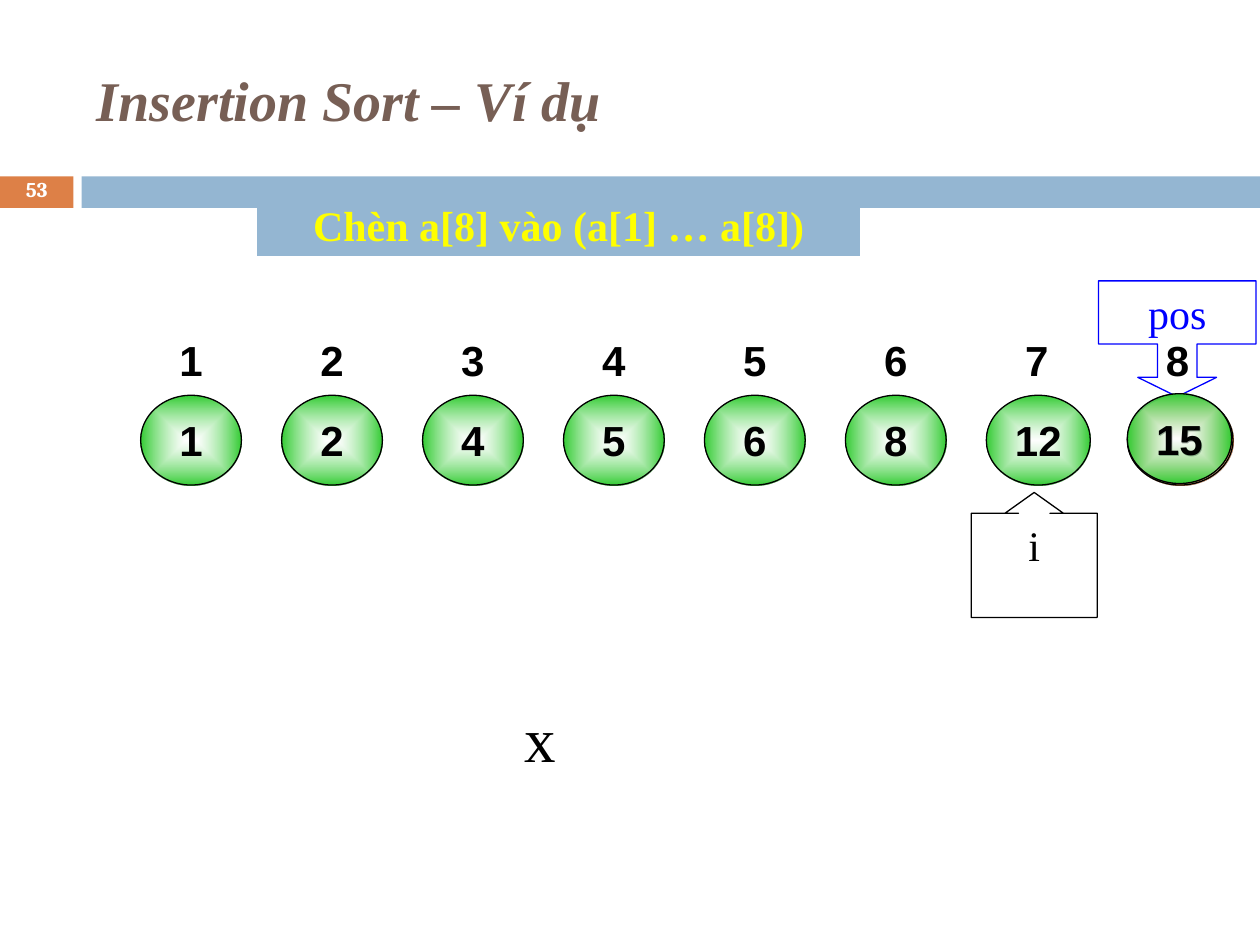
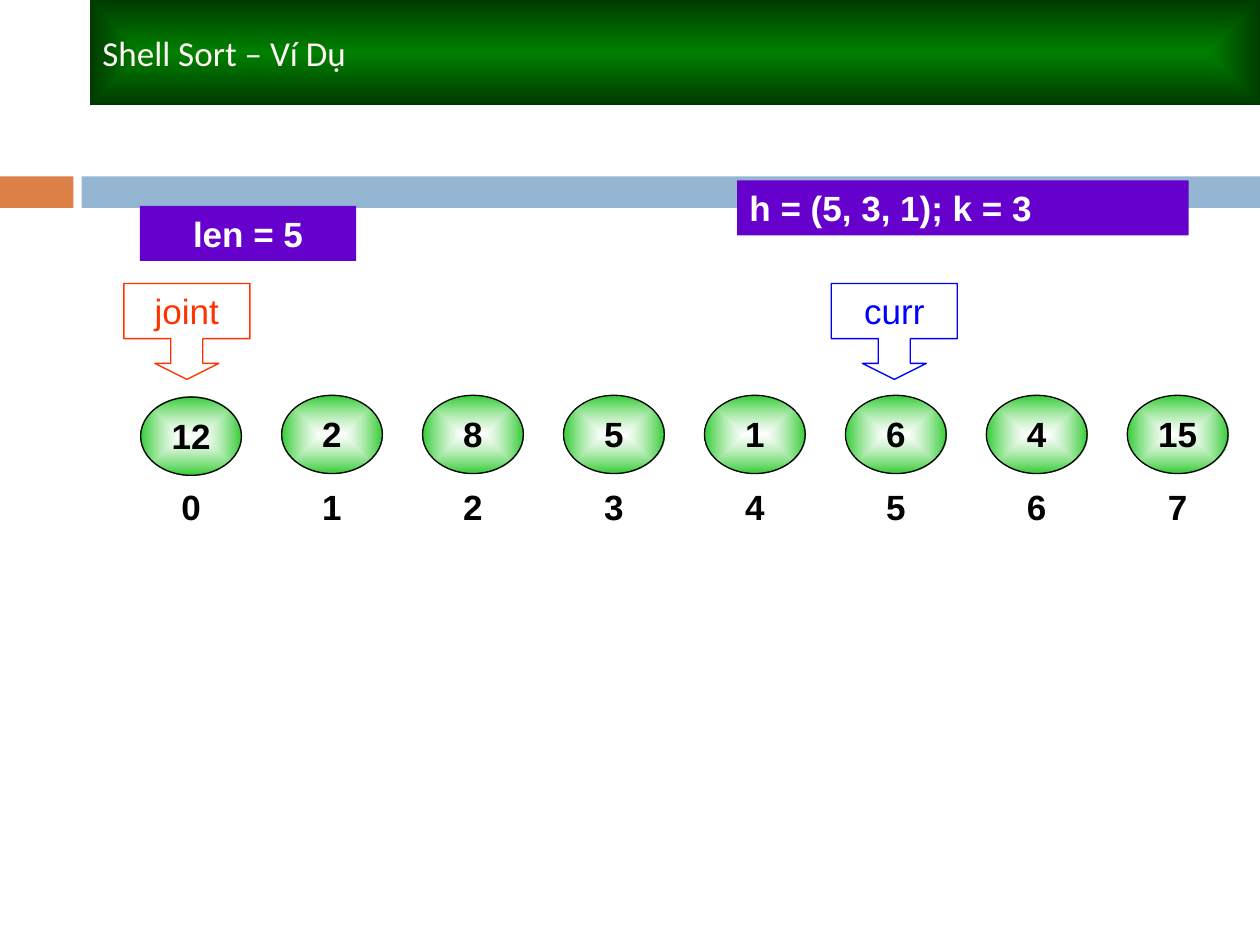
from lxml import etree
from pptx import Presentation
from pptx.dml.color import RGBColor
from pptx.enum.shapes import MSO_SHAPE
from pptx.enum.text import MSO_ANCHOR, PP_ALIGN
from pptx.oxml.ns import qn
from pptx.util import Pt

RECT = MSO_SHAPE.RECTANGLE
OVAL = MSO_SHAPE.OVAL
UP_CALLOUT = MSO_SHAPE.UP_ARROW_CALLOUT
DOWN_CALLOUT = MSO_SHAPE.DOWN_ARROW_CALLOUT
TOP, MIDDLE = MSO_ANCHOR.TOP, MSO_ANCHOR.MIDDLE
LEFT, CENTER = PP_ALIGN.LEFT, PP_ALIGN.CENTER

BLACK, WHITE, BLUE, RED = "000000", "FFFFFF", "0000FF", "FF3300"
ORANGE, BAND_BLUE, YELLOW = "DD8047", "94B6D2", "FFFF00"
PURPLE, GREEN, BROWN = "6600CC", "33CC33", "775F55"
SERIF, SANS = "Times New Roman", "Arial"

SLIDE_W, SLIDE_H = 720, 540
BAND_TOP, BAND_H = 100.8, 18
NUMBER_W, BAND_LEFT = 42, 46.6
ROW_LEFT, PITCH, BALL_W = 80.4, 80.54, 57.6
BALL_TOP = 225.9


def color(value):
    return RGBColor.from_string(value)


def set_gradient(sp, inner, outer, alpha=100):
    sp.fill.background()
    grad = etree.Element(qn("a:gradFill"), rotWithShape="1")
    stops = etree.SubElement(grad, qn("a:gsLst"))
    for pos, value, opacity in ((0, inner, alpha), (100, outer, 100)):
        stop = etree.SubElement(stops, qn("a:gs"), pos=str(pos * 1000))
        clr = etree.SubElement(stop, qn("a:srgbClr"), val=value)
        if opacity < 100:
            etree.SubElement(clr, qn("a:alpha"), val=str(opacity * 1000))
    shade = etree.SubElement(grad, qn("a:path"), path="rect")
    center = {side: "50000" for side in "ltrb"}
    etree.SubElement(shade, qn("a:fillToRect"), **center)
    spPr = sp._element.spPr
    spPr.replace(spPr.find(qn("a:noFill")), grad)


def add_text(sp, text, fill, align=CENTER, anchor=TOP, wrap=True, spacing=None, **font):
    tf = sp.text_frame
    tf.word_wrap = wrap
    tf.vertical_anchor = anchor
    p = tf.paragraphs[0]
    p.alignment = align
    p.line_spacing = spacing
    r = p.add_run()
    r.text = text
    r.font.color.rgb = color(fill)
    for name, value in font.items():
        setattr(r.font, name, value)


def add_box(slide, kind, box, fill=None, line=None):
    sp = slide.shapes.add_shape(kind, *map(Pt, box))
    sp.shadow.inherit = False
    if fill:
        sp.fill.solid()
        sp.fill.fore_color.rgb = color(fill)
    else:
        sp.fill.background()
    if line:
        sp.line.color.rgb = color(line)
        sp.line.width = Pt(0.75)
    else:
        sp.line.fill.background()
    return sp


def add_label(slide, box, text, fill, **style):
    sp = slide.shapes.add_textbox(*map(Pt, box))
    add_text(sp, text, fill, **style)


def add_band(slide, box):
    left, top, width, height = box
    add_box(slide, RECT, (left, top, NUMBER_W, height), ORANGE)
    add_box(slide, RECT, (left + BAND_LEFT, top, width - BAND_LEFT, height), BAND_BLUE)


def add_ball(slide, box, value, size, outer=GREEN):
    sp = add_box(slide, OVAL, box, line=BLACK)
    set_gradient(sp, WHITE, outer, 60)
    add_text(sp, value, BLACK, wrap=False, size=Pt(size), name=SANS, bold=True)


def add_balls(slide, box, values, size, changes):
    left, top, width, height = box
    for i, value in enumerate(values):
        drop, extra, outer = changes.get(i, (0, 0, GREEN))
        ball = (left + i * PITCH, top + drop, width + extra, height)
        add_ball(slide, ball, value, size, outer)


def add_indices(slide, box, first, size):
    left, top, width, height = box
    for i in range(8):
        sp = add_box(slide, OVAL, (left + i * PITCH, top, width, height))
        add_text(sp, str(first + i), BLACK, wrap=False, size=Pt(size), name=SANS, bold=True)


def add_callout(slide, kind, box, text, tint, adjustments, size, font):
    sp = add_box(slide, kind, box, line=tint)
    for i, value in enumerate(adjustments):
        sp.adjustments[i] = value
    add_text(sp, text, tint, size=Pt(size), name=font)


def add_banner(slide, box, text, fill, tint, **style):
    sp = add_box(slide, RECT, box, fill)
    add_text(sp, text, tint, bold=True, **style)


def new_slide(prs):
    slide = prs.slides.add_slide(prs.slide_layouts[6])
    add_band(slide, (0, BAND_TOP, SLIDE_W, BAND_H))
    return slide


def insertion_sort(prs):
    slide = new_slide(prs)
    add_label(slide, (48.2, 18, 642.2, 77.8), "Insertion Sort – Ví dụ", BROWN, align=LEFT,
              anchor=MIDDLE, size=Pt(32), name=SERIF, bold=True, italic=True)
    add_label(slide, (0, 100, NUMBER_W, 19.4), "53", WHITE, anchor=MIDDLE, spacing=0.8,
              size=Pt(12), name="Cambria", bold=True)
    ball_h = 51.3
    add_balls(slide, (ROW_LEFT, BALL_TOP, BALL_W, ball_h),
              ("1", "2", "4", "5", "6", "8", "12", "15"), 24,
              {6: (0, 1.8, GREEN), 7: (0, 2.8, ORANGE)})
    add_callout(slide, UP_CALLOUT, (555, 281.4, 72, 71.4), "i", BLACK,
                (0.252, 0.234, 0.167, 0.989), 24, SERIF)
    add_label(slide, (282, 396, 54, 50.4), "x", BLACK, size=Pt(36), name=SERIF)
    add_indices(slide, (ROW_LEFT, 180, BALL_W, ball_h), 1, 24)
    add_callout(slide, DOWN_CALLOUT, (627.7, 160.5, 90, 66.2), "pos", BLUE,
                (0.34, 0.34, 0.167, 0.546), 24, SERIF)
    add_banner(slide, (147, 110.2, 344.4, 36), "Chèn a[8] vào (a[1] … a[8])", BAND_BLUE,
               YELLOW, size=Pt(24), name=SERIF)
    add_ball(slide, (ROW_LEFT + 7 * PITCH, BALL_TOP - 0.9, 59.6, ball_h), "15", 24)


def shell_sort(prs):
    slide = new_slide(prs)
    ball_h = 44.7
    add_balls(slide, (ROW_LEFT, BALL_TOP, BALL_W, ball_h),
              ("12", "2", "8", "5", "1", "6", "4", "15"), 20, {0: (1, 0, GREEN)})
    add_indices(slide, (ROW_LEFT, 267.6, BALL_W, ball_h), 0, 20)
    title = add_box(slide, RECT, (51.4, 0, 668.6, 60))
    set_gradient(title, "008000", "003B00")
    add_text(title, "Shell Sort – Ví Dụ", "FFF3F3", align=LEFT, anchor=MIDDLE,
             size=Pt(20), name="Calibri")
    tag = {"size": Pt(20), "name": SANS}
    add_banner(slide, (421.2, 103, 258, 31.5), "h = (5, 3, 1); k = 3", PURPLE, WHITE,
               align=LEFT, **tag)
    add_banner(slide, (80, 117.6, 123.6, 31.5), "len = 5", PURPLE, WHITE, **tag)
    for left, text, tint in ((475.1, "curr", BLUE), (70.8, "joint", RED)):
        add_callout(slide, DOWN_CALLOUT, (left, 162, 72, 54.8), text, tint,
                    (0.334, 0.334, 0.167, 0.575), 20, SANS)


def main():
    prs = Presentation()
    prs.slide_width, prs.slide_height = Pt(SLIDE_W), Pt(SLIDE_H)
    insertion_sort(prs)
    shell_sort(prs)
    prs.save("out.pptx")


if __name__ == "__main__":
    main()
